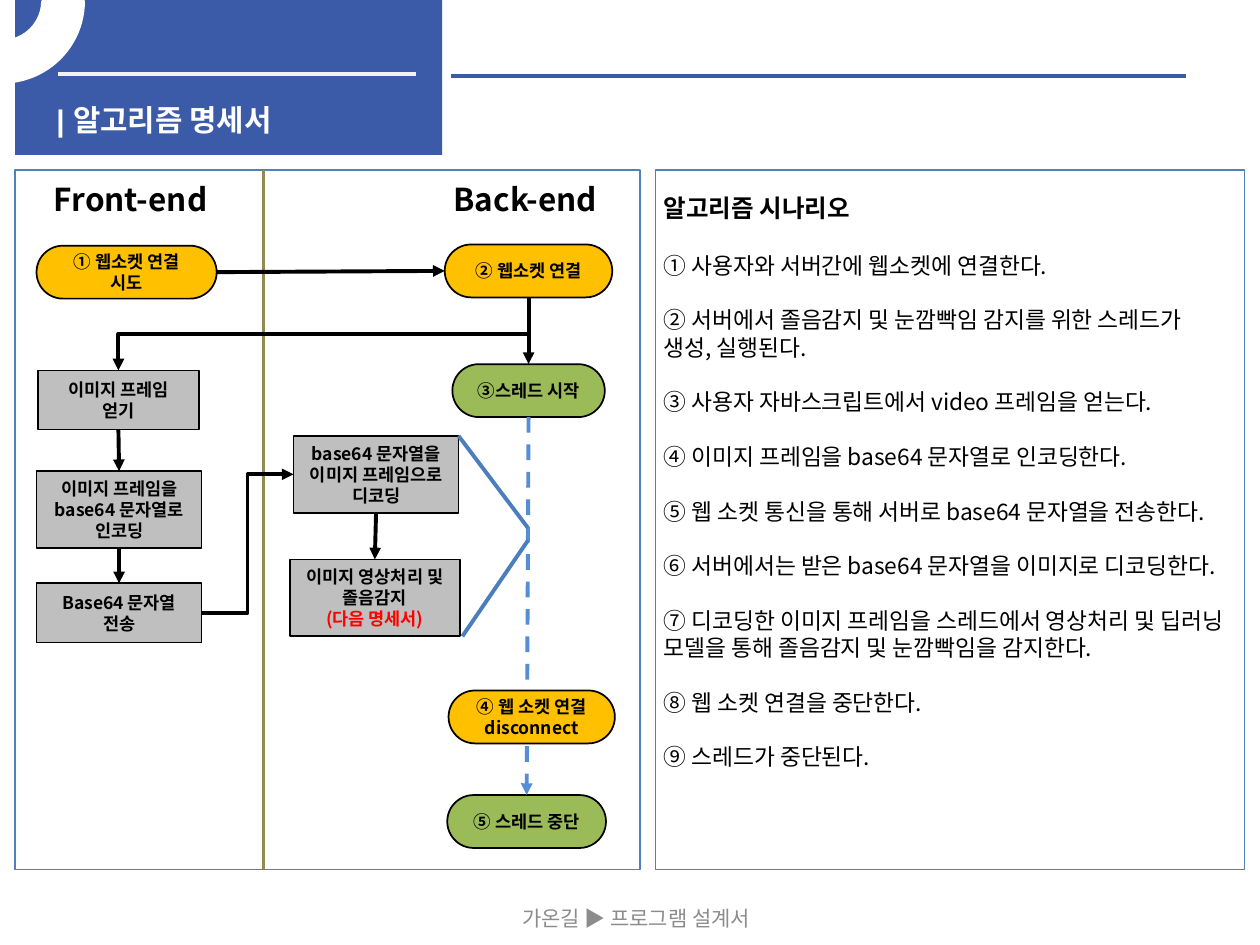
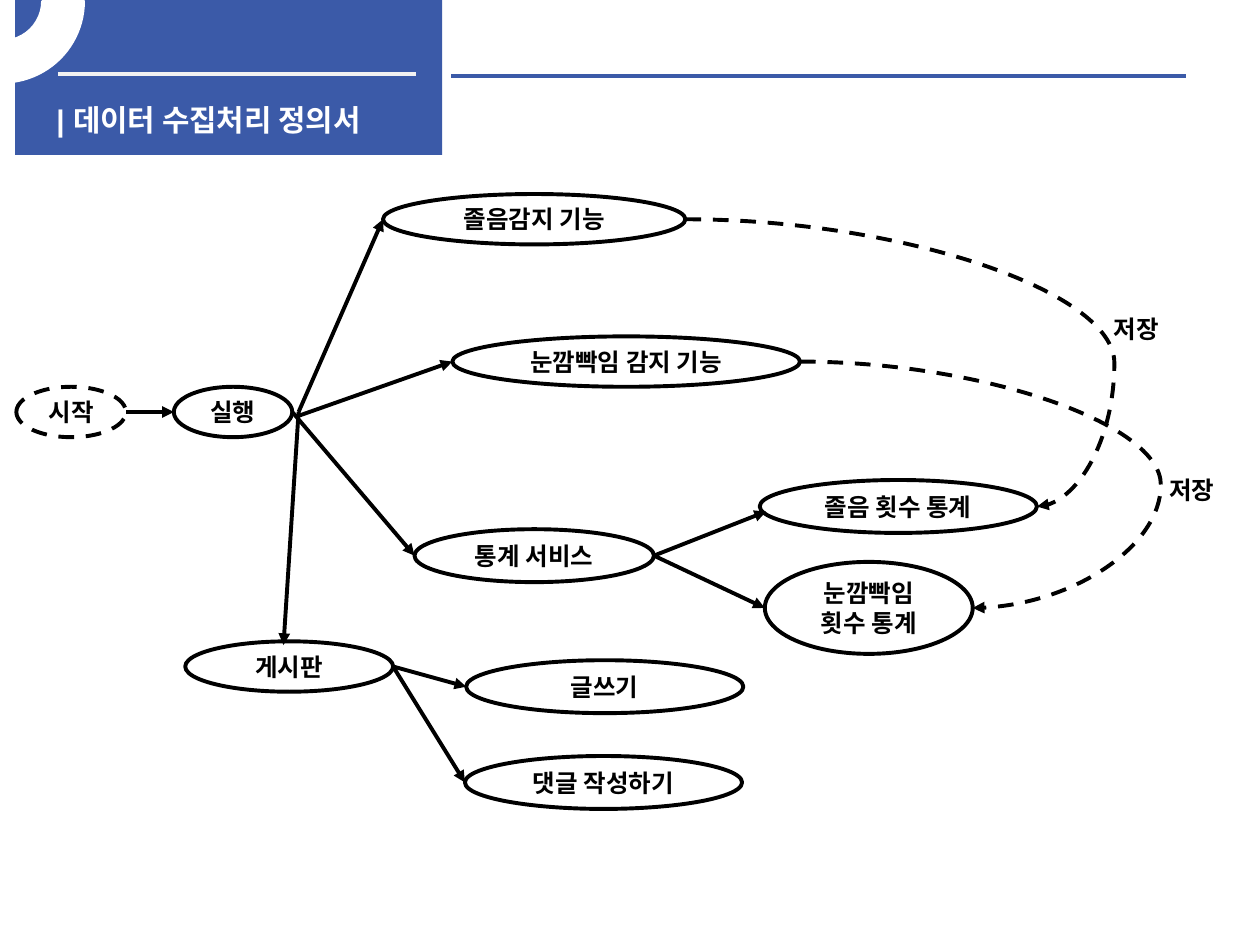
from dataclasses import dataclass

from lxml.etree import SubElement
from pptx import Presentation
from pptx.dml.color import RGBColor
from pptx.enum.dml import MSO_LINE
from pptx.enum.shapes import MSO_CONNECTOR as CXN, MSO_SHAPE as SHAPE
from pptx.enum.text import MSO_ANCHOR as ANCHOR, PP_ALIGN as ALIGN
from pptx.oxml.ns import qn
from pptx.shapes.autoshape import Shape
from pptx.shapes.connector import Connector
from pptx.slide import Slide
from pptx.util import Emu, Inches, Pt

WIDTH, HEIGHT = Inches(10), Inches(7.5)
COLUMNS, ROWS = 100, 75
TOP, LEFT, BOTTOM, RIGHT = range(4)


@dataclass(frozen=True)
class Theme:
    font: str = "Noto Sans CJK KR"
    title_font: str = "Arial"
    brand: str = "3B5AA8"
    white: str = "FFFFFF"
    black: str = "000000"
    band_rule: str = "F2F2F2"
    panel: str = "4F81BD"
    divider: str = "948A54"
    zoom: str = "4B7EBC"
    thread: str = "558ED5"
    socket: str = "FFC000"
    worker: str = "9BBB59"
    step: str = "BFBFBF"
    alert: str = "FF0000"
    muted: str = "8C8C8C"
    lane_size: float = 18
    title_size: float = 17
    label_size: float = 14
    body_size: float = 13
    footer_size: float = 12
    node_size: float = 10
    stroke: float = 2.25


THEME = Theme()


@dataclass(frozen=True)
class Box:
    """A rectangle in grid columns and rows."""
    x: float
    y: float
    w: float
    h: float

    def middle(self, side: int) -> tuple[float, float]:
        return ((self.x + self.w / 2, self.y), (self.x, self.y + self.h / 2),
                (self.x + self.w / 2, self.y + self.h),
                (self.x + self.w, self.y + self.h / 2))[side]


@dataclass(frozen=True)
class Style:
    kind: SHAPE
    fill: str
    size: float
    width: float
    dashed: bool = False


@dataclass(frozen=True)
class Node:
    key: str
    style: Style
    box: Box
    lines: tuple[str, ...]


# An end is either a node's key with a side, or a point on the grid.
End = tuple[str, int] | tuple[float, float]


@dataclass(frozen=True)
class Link:
    start: End
    end: End
    color: str = THEME.black
    width: float = THEME.stroke
    arrow: bool = True
    dashed: bool = False
    kind: CXN = CXN.STRAIGHT
    bend: float | None = None
    downward: bool = False


Drawn = dict[str, tuple[Node, Shape]]

SOCKET = Style(SHAPE.ROUNDED_RECTANGLE, THEME.socket, THEME.node_size, 1)
WORKER = Style(SHAPE.ROUNDED_RECTANGLE, THEME.worker, THEME.node_size, 1)
STEP = Style(SHAPE.RECTANGLE, THEME.step, THEME.node_size, 1)
STATE = Style(SHAPE.OVAL, THEME.white, THEME.label_size, THEME.stroke)
START = Style(SHAPE.OVAL, THEME.white, THEME.label_size, THEME.stroke, True)

BAND = Box(1.2, 0, 33.9, 12.3)
FLOW_PANEL = Box(1.2, 13.5, 49.6, 55.5)
SCENARIO_PANEL = Box(52, 13.5, 46.8, 55.5)

THREAD_NODES = (
    Node("thread", WORKER, Box(35.9, 28.9, 12.1, 4.2), ("③스레드 시작",)),
    Node("stop", WORKER, Box(35.5, 63.1, 12.6, 4.2), ("⑤ 스레드 중단",)),
)
THREAD_LINKS = (Link(("thread", BOTTOM), ("stop", TOP), THEME.thread, dashed=True),)
FLOW_NODES = (
    Node("connect", SOCKET, Box(2.9, 19.5, 14.3, 4.2), ("① 웹소켓 연결 시도",)),
    Node("accept", SOCKET, Box(35.3, 19.4, 13.3, 4.2), ("② 웹소켓 연결",)),
    Node("disconnect", SOCKET, Box(35.6, 54.8, 13.2, 4.2),
         ("④ 웹 소켓 연결 disconnect",)),
    Node("capture", STEP, Box(3, 29.4, 12.8, 4.7), ("이미지 프레임", "얻기")),
    Node("encode", STEP, Box(2.9, 37.4, 13.1, 6.1),
         ("이미지 프레임을 base64 문자열로 인코딩",)),
    Node("send", STEP, Box(2.9, 46.3, 13.1, 4.7), ("Base64 문자열 전송",)),
    Node("decode", STEP, Box(23.3, 34.6, 13.1, 6.1),
         ("base64 문자열을 이미지 프레임으로 디코딩",)),
    Node("detect", STEP, Box(23, 44.4, 13.5, 6.1),
         ("이미지 영상처리 및 졸음감지", "(다음 명세서)")),
)
FLOW_LINKS = (
    Link((20.9, 13.5), (20.9, 69), THEME.divider, 1.5, arrow=False),
    Link(("connect", RIGHT), ("accept", LEFT)),
    Link(("accept", BOTTOM), ("thread", TOP)),
    Link(("accept", BOTTOM), ("capture", TOP), kind=CXN.ELBOW, downward=True),
    Link(("capture", BOTTOM), ("encode", TOP)),
    Link(("encode", BOTTOM), ("send", TOP)),
    Link(("send", RIGHT), ("decode", LEFT), kind=CXN.ELBOW),
    Link(("decode", BOTTOM), ("detect", TOP)),
    Link((41.9, 41.9), (36.4, 34.6), THEME.zoom, arrow=False),
    Link((41.9, 42.9), (36.7, 50.5), THEME.zoom, arrow=False),
)
LANES = {"Front-end": 3.3, "Back-end": 35}
SCENARIO = (
    "알고리즘 시나리오",
    "① 사용자와 서버간에 웹소켓에 연결한다.",
    "② 서버에서 졸음감지 및 눈깜빡임 감지를 위한 스레드가 생성, 실행된다.",
    "③ 사용자 자바스크립트에서 video 프레임을 얻는다.",
    "④ 이미지 프레임을 base64 문자열로 인코딩한다.",
    "⑤ 웹 소켓 통신을 통해 서버로 base64 문자열을 전송한다.",
    "⑥ 서버에서는 받은 base64 문자열을 이미지로 디코딩한다.",
    "⑦ 디코딩한 이미지 프레임을 스레드에서 영상처리 및 딥러닝 모델을 통해 "
    "졸음감지 및 눈깜빡임을 감지한다.",
    "⑧ 웹 소켓 연결을 중단한다.",
    "⑨ 스레드가 중단된다.",
)

STATE_NODES = (
    Node("start", START, Box(1.3, 30.7, 8.7, 4), ("시작",)),
    Node("run", STATE, Box(13.8, 30.7, 9.4, 4), ("실행",)),
    Node("drowsy", STATE, Box(30.4, 15.4, 24, 4), ("졸음감지 기능",)),
    Node("blink", STATE, Box(35.9, 26.7, 27.6, 4), ("눈깜빡임 감지 기능",)),
    Node("stats", STATE, Box(32.9, 42, 19, 4.2), ("통계 서비스",)),
    Node("board", STATE, Box(14.7, 50.9, 16.5, 4), ("게시판",)),
    Node("drowsy_count", STATE, Box(60.3, 38.1, 22, 4.2), ("졸음 횟수 통계",)),
    Node("blink_count", STATE, Box(60.7, 44.6, 16.5, 7.3), ("눈깜빡임 횟수 통계",)),
    Node("write", STATE, Box(37, 52.4, 22, 4.2), ("글쓰기",)),
    Node("comment", STATE, Box(36.9, 60, 22, 4.2), ("댓글 작성하기",)),
)
FORK = (23.7, 32.7)
STATE_LINKS = (
    Link(("start", RIGHT), ("run", LEFT)),
    Link(FORK, ("drowsy", LEFT)),
    Link((23.7, 33), ("blink", LEFT)),
    Link(("run", RIGHT), ("stats", LEFT)),
    Link(FORK, (22.5, 51.2)),
    Link(("stats", RIGHT), (60.8, 40.6)),
    Link(("stats", RIGHT), ("blink_count", LEFT)),
    Link(("board", RIGHT), ("write", LEFT)),
    Link(("board", RIGHT), ("comment", LEFT)),
    Link(("drowsy", RIGHT), ("drowsy_count", RIGHT), dashed=True,
         kind=CXN.CURVE, bend=1.22),
    Link(("blink", RIGHT), ("blink_count", RIGHT), dashed=True,
         kind=CXN.CURVE, bend=2.09),
)
SAVE_LABELS = ((87.4, 24.4), (91.8, 37.2))


def col(n: float) -> Emu:
    return Emu(round(WIDTH * n / COLUMNS))


def row(n: float) -> Emu:
    return Emu(round(HEIGHT * n / ROWS))


def place(box: Box) -> tuple[Emu, Emu, Emu, Emu]:
    return col(box.x), row(box.y), col(box.w), row(box.h)


def rgb(color: str) -> RGBColor:
    return RGBColor.from_string(color)


def write(sp: Shape, lines: tuple[str, ...], size: float, color: str = THEME.black,
          bold: bool = True, align: ALIGN = ALIGN.LEFT,
          anchor: ANCHOR = ANCHOR.TOP, font: str = THEME.font) -> None:
    tf = sp.text_frame
    tf.word_wrap = True
    tf.vertical_anchor = anchor
    tf.text = "\n".join(lines)
    for p in tf.paragraphs:
        p.alignment = align
        for r in p.runs:
            r.font.size, r.font.bold = Pt(size), bold
            r.font.color.rgb = rgb(color)
            r.font.name = font
            SubElement(r.font._element, qn("a:ea"), typeface=THEME.font)


def add_text(s: Slide, box: Box, lines: tuple[str, ...], size: float, **look) -> Shape:
    sp = s.shapes.add_textbox(*place(box))
    write(sp, lines, size, **look)
    return sp


def add_shape(s: Slide, kind: SHAPE, box: Box, fill: str | None = None,
              line: str | None = None, width: float = 1) -> Shape:
    sp = s.shapes.add_shape(kind, *place(box))
    sp.shadow.inherit = False
    if fill:
        sp.fill.solid()
        sp.fill.fore_color.rgb = rgb(fill)
    else:
        sp.fill.background()
    if line:
        sp.line.color.rgb, sp.line.width = rgb(line), Pt(width)
    else:
        sp.line.fill.background()
    return sp


def add_node(s: Slide, node: Node) -> Shape:
    style = node.style
    sp = add_shape(s, style.kind, node.box, style.fill, THEME.black, style.width)
    if style.kind == SHAPE.ROUNDED_RECTANGLE:
        sp.adjustments[0] = 0.5
    if style.dashed:
        sp.line.dash_style = MSO_LINE.DASH
    write(sp, node.lines, style.size, align=ALIGN.CENTER, anchor=ANCHOR.MIDDLE)
    return sp


def add_link(s: Slide, link: Link, drawn: Drawn) -> Connector:
    ends = (link.start, link.end)
    (x1, y1), (x2, y2) = (drawn[a][0].box.middle(b) if isinstance(a, str) else (a, b)
                          for a, b in ends)
    if link.downward:  # the frame of a quarter turn about the same centre
        cx, cy, w, h = (x1 + x2) / 2, (y1 + y2) / 2, y2 - y1, x1 - x2
        x1, y1, x2, y2 = cx - w / 2, cy - h / 2, cx + w / 2, cy + h / 2
    c = s.shapes.add_connector(link.kind, col(x1), row(y1), col(x2), row(y2))
    c.line.color.rgb, c.line.width = rgb(link.color), Pt(link.width)
    if link.dashed:
        c.line.dash_style = MSO_LINE.DASH
    pr = c._element.spPr
    if link.arrow:
        SubElement(pr.find(qn("a:ln")), qn("a:tailEnd"), type="triangle")
    if link.downward:
        pr.find(qn("a:xfrm")).set("rot", "5400000")
    if link.bend:
        SubElement(pr.find(qn("a:prstGeom")).find(qn("a:avLst")), qn("a:gd"),
                   name="adj1", fmla=f"val {round(link.bend * 100000)}")
    SubElement(pr, qn("a:effectLst"))
    if link.kind == CXN.STRAIGHT:
        for (key, side), join in zip(ends, (c.begin_connect, c.end_connect)):
            if key in drawn and drawn[key][0].style.kind != SHAPE.OVAL:
                join(drawn[key][1], side)
    return c


def add_diagram(s: Slide, nodes: tuple[Node, ...], links: tuple[Link, ...],
                drawn: Drawn) -> None:
    """Draw nodes, then links; drawn collects every node that links may name."""
    drawn.update({n.key: (n, add_node(s, n)) for n in nodes})
    for link in links:
        add_link(s, link, drawn)


def add_titled_slide(prs: Presentation, title: str) -> Slide:
    s = prs.slides.add_slide(prs.slide_layouts[6])
    add_shape(s, SHAPE.RECTANGLE, BAND, THEME.brand)
    add_link(s, Link((4.6, 5.9), (33, 5.9), THEME.band_rule, arrow=False), {})
    add_link(s, Link((35.8, 6), (94.1, 6), THEME.brand, arrow=False), {})
    add_text(s, Box(3.5, 7.6, 30.7, 3.2), (f"| {title}",), THEME.title_size,
             color=THEME.white, font=THEME.title_font)
    arc = add_shape(s, SHAPE.BLOCK_ARC, Box(-6.3, -6.3, 12.9, 12.8),
                    THEME.white, THEME.white, 2)
    for i, value in enumerate((96.95, 0, 0.25)):
        arc.adjustments[i] = value
    arc._element.spPr.find(qn("a:xfrm")).set("flipV", "1")
    return s


def add_scenario(s: Slide) -> None:
    sp = add_text(s, Box(51.7, 14.8, 46.4, 51.7), SCENARIO, THEME.body_size, bold=False)
    heading, *items = sp.text_frame.paragraphs
    heading.runs[0].font.size, heading.runs[0].font.bold = Pt(THEME.label_size), True
    for p in items:
        p.space_before = Pt(THEME.body_size * 1.2)
    items[0].space_before = Pt(THEME.label_size * 1.2)


def build_algorithm(prs: Presentation) -> None:
    s = add_titled_slide(prs, "알고리즘 명세서")
    for panel in (FLOW_PANEL, SCENARIO_PANEL):
        add_shape(s, SHAPE.RECTANGLE, panel, line=THEME.panel, width=0.75)
    drawn: Drawn = {}
    add_diagram(s, THREAD_NODES, THREAD_LINKS, drawn)
    add_diagram(s, FLOW_NODES, FLOW_LINKS, drawn)
    note = drawn["detect"][1].text_frame.paragraphs[-1].runs[0]
    note.font.color.rgb = rgb(THEME.alert)
    for lane, x in LANES.items():
        add_text(s, Box(x, 13.8, 21.5, 4), (lane,), THEME.lane_size)
    add_scenario(s)
    add_text(s, Box(28, 70.9, 45, 4), ("가온길 ▶ 프로그램 설계서",), THEME.footer_size,
             color=THEME.muted, bold=False, align=ALIGN.CENTER, anchor=ANCHOR.MIDDLE)


def build_data_flow(prs: Presentation) -> None:
    s = add_titled_slide(prs, "데이터 수집처리 정의서")
    add_diagram(s, STATE_NODES, STATE_LINKS, {})
    for x, y in SAVE_LABELS:
        add_text(s, Box(x, y, 6.3, 3.4), ("저장",), THEME.label_size)


def main() -> None:
    prs = Presentation()
    prs.slide_width, prs.slide_height = WIDTH, HEIGHT
    build_algorithm(prs)
    build_data_flow(prs)
    prs.save("out.pptx")


if __name__ == "__main__":
    main()
